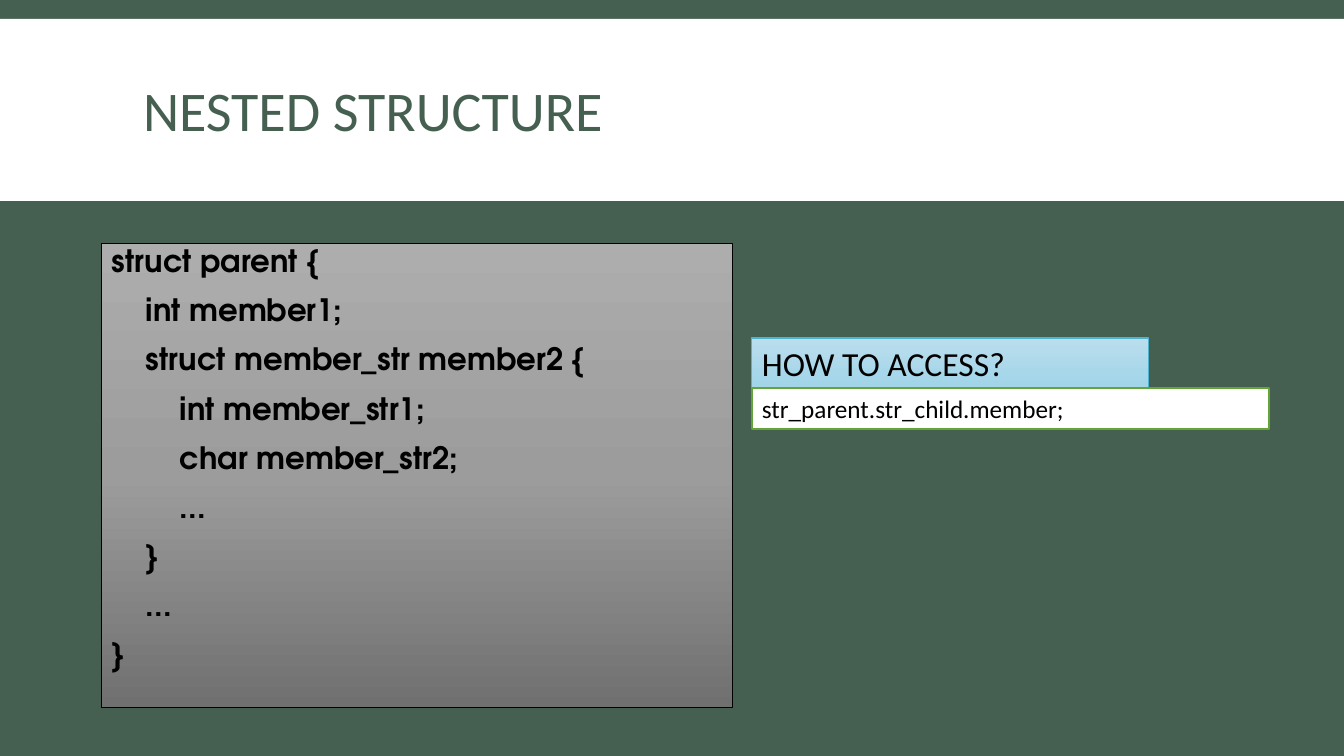
from copy import deepcopy

from pptx import Presentation
from pptx import util as u
from pptx.dml.color import RGBColor
from pptx.enum import shapes, text
from pptx.oxml.ns import qn

THEME = {
    "green": "455F51", "white": "FFFFFF", "black": "000000",
    "blue_line": "4EB3CF", "lime_line": "63A537",
    "grey_gradient": ("ADADAD", "9C9C9C", "707070"),
    "blue_gradient": ("BADEED", "A3D5E9", "78C5E0"),
    "font": "Calibri", "code_font": "TeX Gyre Adventor",
    "title_size": 40, "code_size": 22, "question_size": 24, "answer_size": 18,
}
PX = 914400 / 100.8
INDENT = 34


def add_box(left, top, width, height, fill, line=None, line_width=0.75):
    """Add a rectangle with a plain colour or a three-stop vertical gradient."""
    shape = slide.shapes.add_shape(
        shapes.MSO_SHAPE.RECTANGLE,
        *(u.Emu(round(n * PX)) for n in (left, top, width, height)))
    shape.shadow.inherit = False
    if isinstance(fill, str):
        shape.fill.solid()
        shape.fill.fore_color.rgb = RGBColor.from_string(fill)
    else:
        shape.fill.gradient()
        shape.fill.gradient_angle = 270
        stop_list = shape._element.spPr.find(".//" + qn("a:gsLst"))
        stop_list.insert(1, deepcopy(stop_list[0]))
        for stop, color, position in zip(shape.fill.gradient_stops, fill, (0, 0.5, 1)):
            stop.color.rgb = RGBColor.from_string(color)
            stop.position = position
    if line:
        shape.line.color.rgb = RGBColor.from_string(line)
        shape.line.width = u.Pt(line_width)
    else:
        shape.line.fill.background()
    shape.text_frame.word_wrap = True
    shape.text_frame.vertical_anchor = text.MSO_ANCHOR.TOP
    return shape


def add_run(paragraph, words, size, color=THEME["black"], font=THEME["font"], bold=False):
    paragraph.alignment = text.PP_ALIGN.LEFT
    run = paragraph.add_run()
    run.text = words
    run.font.size = u.Pt(size)
    run.font.name = font
    run.font.bold = bold
    run.font.color.rgb = RGBColor.from_string(color)


presentation = Presentation()
presentation.slide_width = u.Emu(round(1344 * PX))
presentation.slide_height = u.Emu(round(756 * PX))
slide = presentation.slides.add_slide(presentation.slide_layouts[5])
slide.background.fill.solid()
slide.background.fill.fore_color.rgb = RGBColor.from_string(THEME["green"])

# Title on its white band
title = slide.shapes.title
band = add_box(0, 19, 1344, 182, THEME["white"])
title._element.addprevious(band._element)
title.left, title.top, title.width, title.height = (
    u.Emu(round(n * PX)) for n in (133, 31, 1079, 166))
title.text_frame.word_wrap = True
title.text_frame.vertical_anchor = text.MSO_ANCHOR.MIDDLE
title_paragraph = title.text_frame.paragraphs[0]
title_paragraph.line_spacing = 0.85
add_run(title_paragraph, "NESTED STRUCTURE", THEME["title_size"], THEME["green"])

# Code panel: nesting level and line
code_lines = [
    (0, "struct parent {"),
    (1, "int member1;"),
    (1, "struct member_str member2 {"),
    (2, "int member_str1;"),
    (2, "char member_str2;"),
    (2, "..."),
    (1, "}"),
    (1, "..."),
    (0, "}"),
]
code_frame = add_box(102, 244, 631, 464, THEME["grey_gradient"], THEME["black"]).text_frame
for number, (level, code) in enumerate(code_lines):
    paragraph = code_frame.add_paragraph() if number else code_frame.paragraphs[0]
    paragraph.line_spacing = 0.8
    paragraph.space_before = u.Pt(12)
    paragraph.space_after = u.Pt(2)
    paragraph._p.get_or_add_pPr().set("marL", str(round(level * INDENT * PX)))
    add_run(paragraph, code, THEME["code_size"], font=THEME["code_font"], bold=True)

# Question, with the answer over its lower half
question = add_box(752, 338, 397, 91, THEME["blue_gradient"], THEME["blue_line"])
add_run(question.text_frame.paragraphs[0], "HOW TO ACCESS?", THEME["question_size"])
answer = add_box(752, 388, 517, 41, THEME["white"], THEME["lime_line"], 1)
add_run(answer.text_frame.paragraphs[0], "str_parent.str_child.member;", THEME["answer_size"])

presentation.save("out.pptx")
